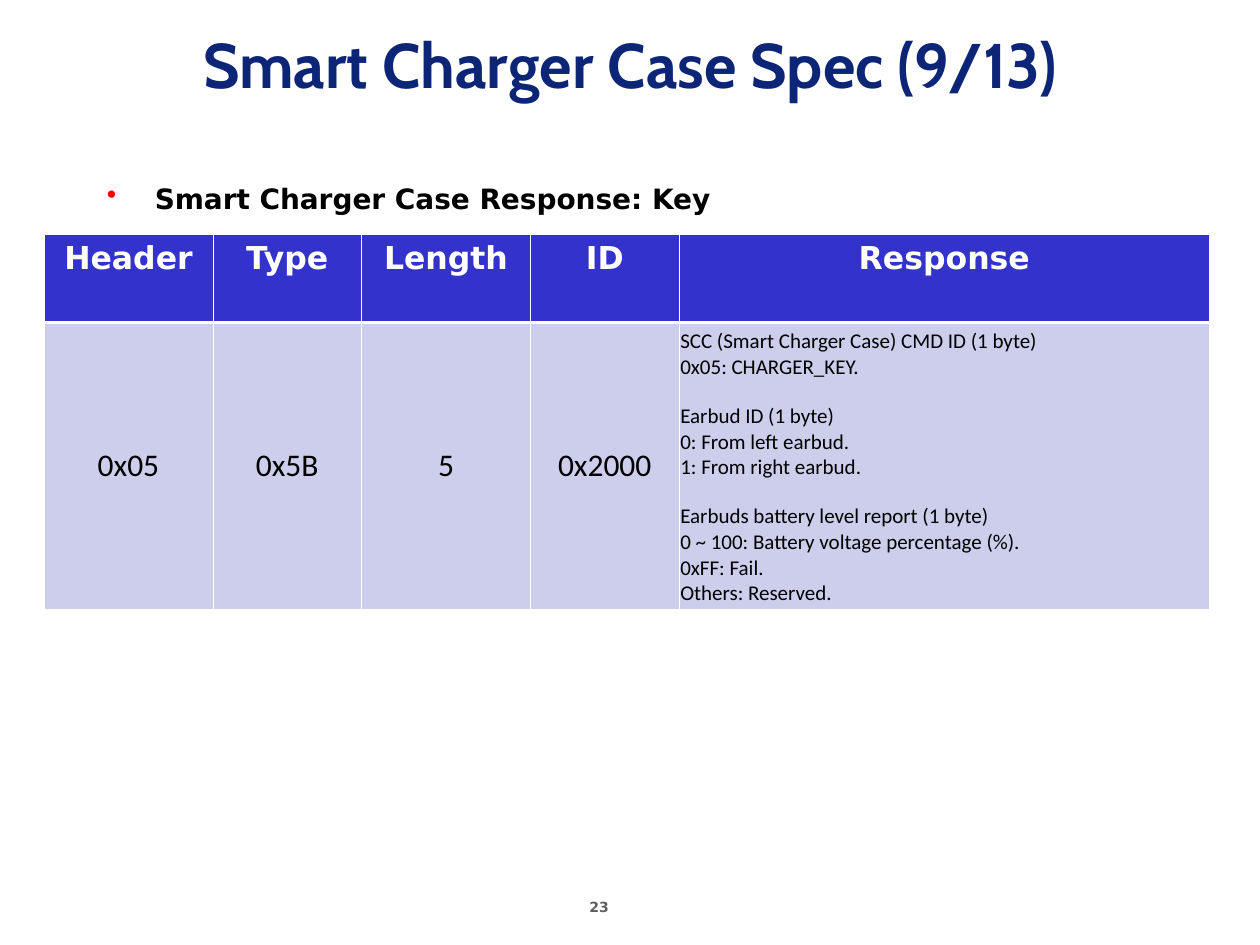
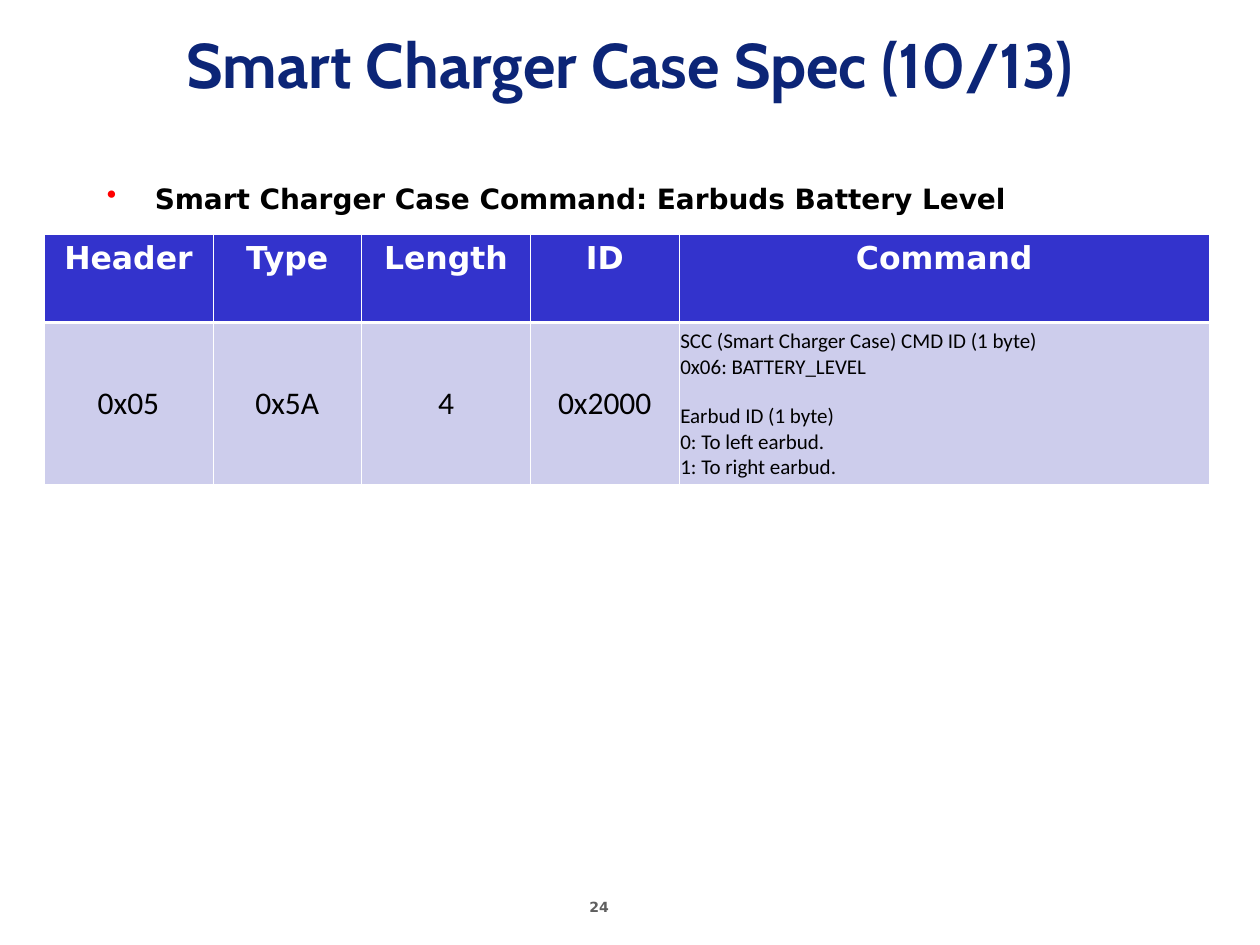
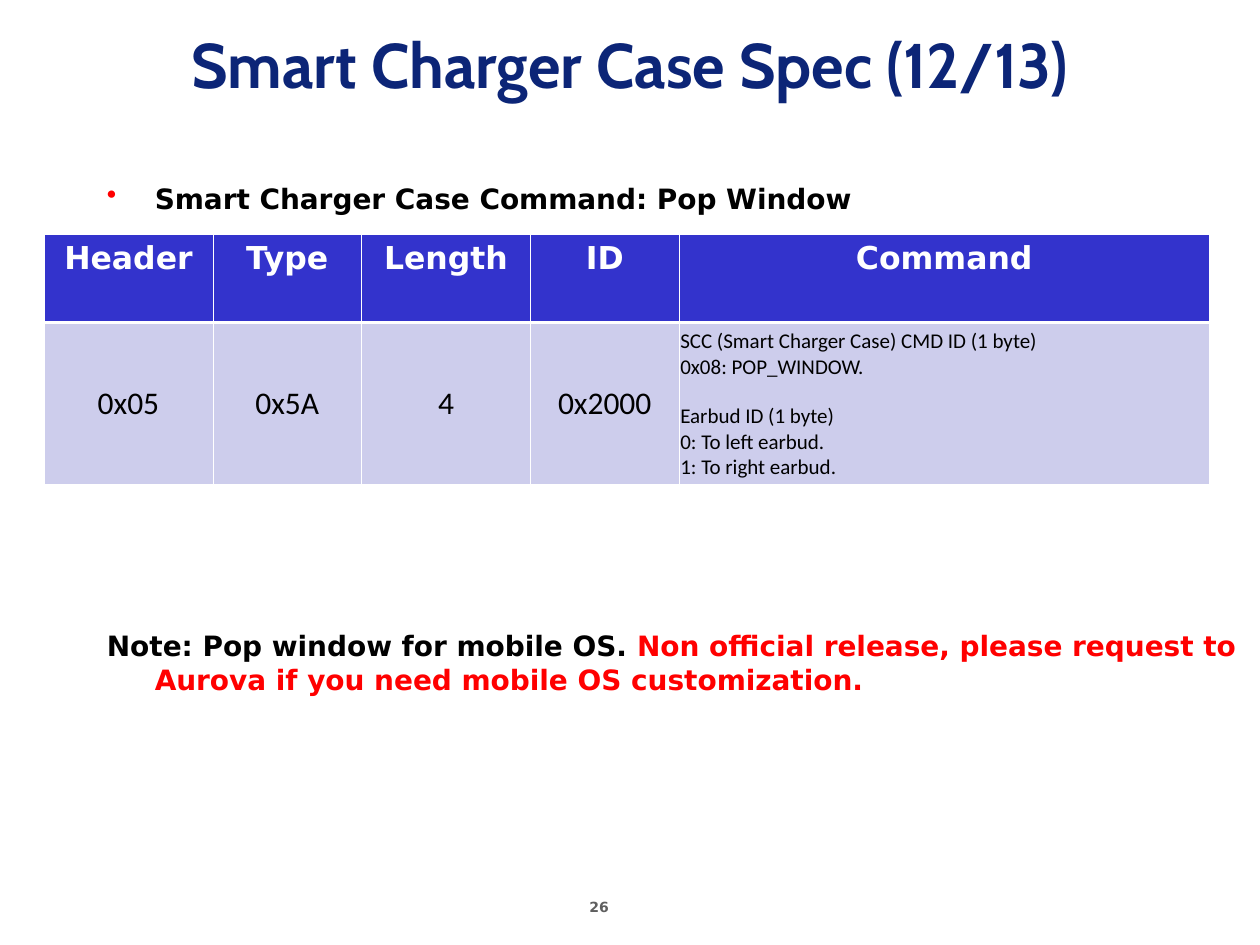
"""Build three slides describing the smart charger case messages."""
from lxml import etree
from pptx import Presentation
from pptx.dml.color import RGBColor
from pptx.enum.text import MSO_ANCHOR, PP_ALIGN
from pptx.oxml.ns import qn
from pptx.util import Inches, Pt

LEFT, CENTER = PP_ALIGN.LEFT, PP_ALIGN.CENTER
TOP, MIDDLE = MSO_ANCHOR.TOP, MSO_ANCHOR.MIDDLE

NAVY, BLUE, LAVENDER = "0C2577", "3333CC", "CDCDEC"
WHITE, BLACK, RED, GREY = "FFFFFF", "000000", "FF0000", "5F5F5F"
TITLE_FONT, LABEL_FONT, CELL_FONT = "Cabin", "DejaVu Sans", "Calibri"

WIDTH, HEIGHT = 10, 7.5
MARGIN = 0.75
TABLE_LEFT, TABLE_TOP = 0.35, 1.86
COLUMNS = (1.34, 1.18, 1.34, 1.18, 4.21)
HEADER_HEIGHT, LINE_HEIGHT = 0.7, 0.2
HANGING = 0.38
GROUP_GAP = 13.5
THIN, THICK = 0.45, 1.47

COMMAND_ID = "SCC (Smart Charger Case) CMD ID (1 byte)"
TO_EARBUD = ["Earbud ID (1 byte)", "0: To left earbud.", "1: To right earbud."]

SLIDES = [
    {
        "part": 9, "page": 23, "kind": "Response", "topic": "Key",
        "values": ("0x05", "0x5B", "5", "0x2000"),
        "groups": [
            [COMMAND_ID, "0x05: CHARGER_KEY."],
            ["Earbud ID (1 byte)", "0: From left earbud.", "1: From right earbud."],
            ["Earbuds battery level report (1 byte)",
             "0 ~ 100: Battery voltage percentage (%).",
             "0xFF: Fail.", "Others: Reserved."],
        ],
    },
    {
        "part": 10, "page": 24, "kind": "Command", "topic": "Earbuds Battery Level",
        "values": ("0x05", "0x5A", "4", "0x2000"),
        "groups": [[COMMAND_ID, "0x06: BATTERY_LEVEL"], TO_EARBUD],
    },
    {
        "part": 12, "page": 26, "kind": "Command", "topic": "Pop Window",
        "values": ("0x05", "0x5A", "4", "0x2000"),
        "groups": [[COMMAND_ID, "0x08: POP_WINDOW."], TO_EARBUD],
        "note": [
            ("Note: Pop window for mobile OS. ", BLACK),
            ("Non official release, please request to Aurova "
             "if you need mobile OS customization.", RED),
        ],
    },
]


def rgb(color):
    """Turn a hex string into a colour."""
    return RGBColor.from_string(color)


def style(font, name, size, color, bold=True):
    """Set the look of a font."""
    font.name, font.size, font.bold = name, Pt(size), bold
    font.color.rgb = rgb(color)


def add_text(slide, area, spans, name, size, align=LEFT, anchor=TOP, wrap=True):
    """Add a one-paragraph text box from (text, colour) spans."""
    box = slide.shapes.add_textbox(*(Inches(length) for length in area))
    frame = box.text_frame
    frame.word_wrap, frame.vertical_anchor = wrap, anchor
    para = frame.paragraphs[0]
    para.alignment = align
    for text, color in spans:
        span = para.add_run()
        span.text = text
        style(span.font, name, size, color)
    return para


def hang(para, bullet_color=None):
    """Give a paragraph a hanging indent and, with a colour, a bullet."""
    properties = para._p.get_or_add_pPr()
    properties.set("marL", str(Inches(HANGING)))
    properties.set("indent", str(-Inches(HANGING)))
    if bullet_color:
        color = etree.SubElement(properties, qn("a:buClr"))
        etree.SubElement(color, qn("a:srgbClr"), val=bullet_color)
        etree.SubElement(properties, qn("a:buChar"), char="•")


def paint_cell(cell, fill, top, bottom):
    """Draw the white borders of a cell and fill it."""
    properties = cell._tc.get_or_add_tcPr()
    for side, width in (("L", THIN), ("R", THIN), ("T", top), ("B", bottom)):
        line = etree.SubElement(properties, qn(f"a:ln{side}"), w=str(Pt(width)))
        solid = etree.SubElement(line, qn("a:solidFill"))
        etree.SubElement(solid, qn("a:srgbClr"), val=WHITE)
    cell.fill.solid()
    cell.fill.fore_color.rgb = rgb(fill)


def fill_header(cell, text):
    """Write a header cell."""
    paint_cell(cell, BLUE, THIN, THICK)
    cell.text = text
    para = cell.text_frame.paragraphs[0]
    para.alignment = CENTER
    style(para.runs[0].font, LABEL_FONT, 18, WHITE)


def fill_body(cell, groups, size, align):
    """Write groups of lines into a body cell, with a gap between groups."""
    paint_cell(cell, LAVENDER, THICK, THIN)
    cell.margin_left = cell.margin_right = Inches(0.01)
    cell.vertical_anchor = MIDDLE
    cell.text = "\n".join(line for group in groups for line in group)
    paras = cell.text_frame.paragraphs
    for para in paras:
        para.alignment = align
        style(para.runs[0].font, CELL_FONT, size, BLACK, bold=False)
    start = 0
    for group in groups[:-1]:
        start += len(group)
        paras[start].space_before = Pt(GROUP_GAP)


def add_message_table(slide, content):
    """Add the table that lays out one message."""
    groups = content["groups"]
    lines = sum(len(group) for group in groups) + len(groups) - 1
    heights = (HEADER_HEIGHT, lines * LINE_HEIGHT + 0.01)
    area = (TABLE_LEFT, TABLE_TOP, sum(COLUMNS), sum(heights))
    table = slide.shapes.add_table(
        2, len(COLUMNS), *(Inches(length) for length in area)).table
    table.horz_banding = False
    for column, width in zip(table.columns, COLUMNS):
        column.width = Inches(width)
    for row, height in zip(table.rows, heights):
        row.height = Inches(height)
    headers = ("Header", "Type", "Length", "ID", content["kind"])
    for index, text in enumerate(headers):
        fill_header(table.cell(0, index), text)
    for index, text in enumerate(content["values"]):
        fill_body(table.cell(1, index), [[text]], 18, CENTER)
    fill_body(table.cell(1, len(COLUMNS) - 1), groups, 12, LEFT)


def add_slide(deck, content):
    """Add one message slide with title, heading, table, note and number."""
    slide = deck.slides.add_slide(deck.slide_layouts[6])
    add_text(slide, (4.58, 7.08, 0.77, 0.26), [(str(content["page"]), GREY)],
             LABEL_FONT, 8, wrap=False)
    title = f"Smart Charger Case Spec ({content['part']}/13)"
    add_text(slide, (0, 0, WIDTH, 1), [(title, NAVY)],
             TITLE_FONT, 36, CENTER, MIDDLE)
    heading = f"Smart Charger Case {content['kind']}: {content['topic']}"
    hang(add_text(slide, (MARGIN, 1.39, WIDTH - MARGIN, 0.4),
                  [(heading, BLACK)], LABEL_FONT, 16), RED)
    add_message_table(slide, content)
    if "note" in content:
        hang(add_text(slide, (MARGIN, 4.94, WIDTH - MARGIN, 0.65),
                      content["note"], LABEL_FONT, 16))


def main():
    """Build and save the deck."""
    deck = Presentation()
    deck.slide_width, deck.slide_height = Inches(WIDTH), Inches(HEIGHT)
    for content in SLIDES:
        add_slide(deck, content)
    deck.save("out.pptx")


if __name__ == "__main__":
    main()
